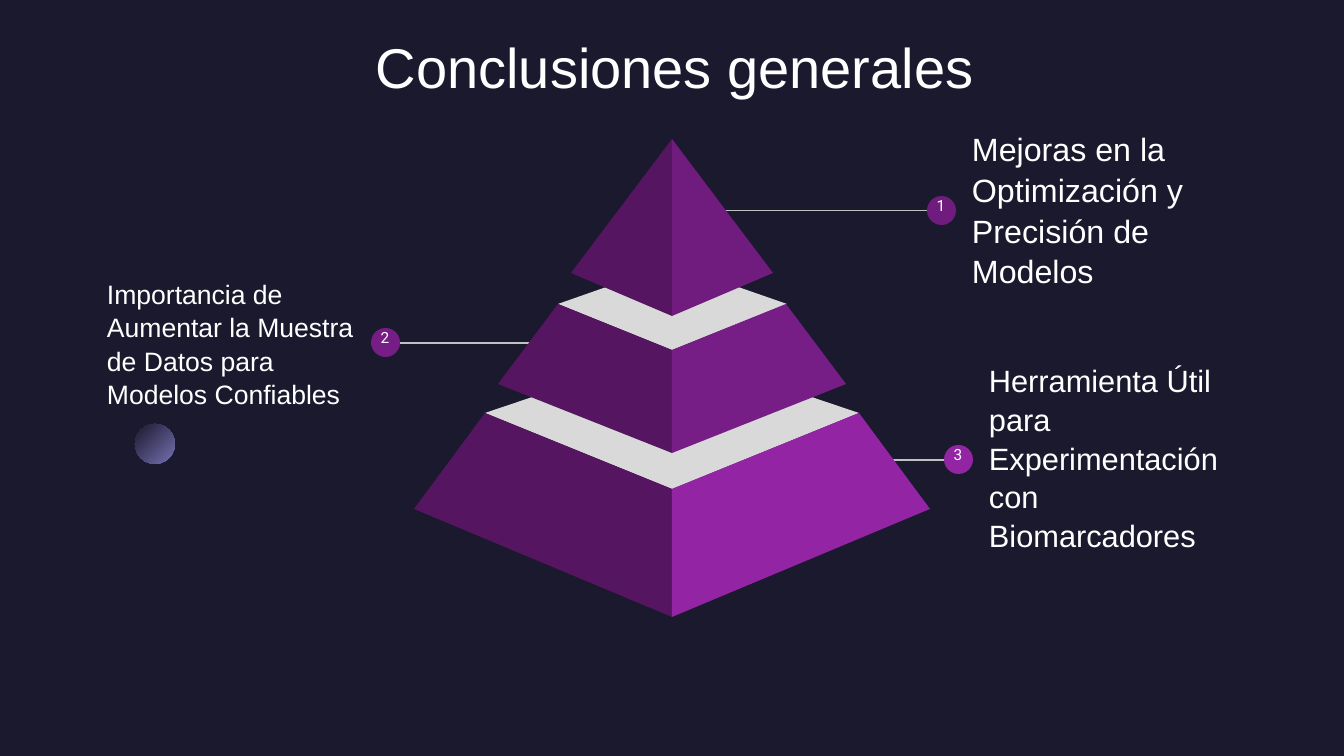
from dataclasses import dataclass
from typing import Optional

from lxml.etree import SubElement
from pptx import Presentation
from pptx.dml.color import RGBColor
from pptx.enum.shapes import MSO_CONNECTOR, MSO_SHAPE
from pptx.enum.text import MSO_ANCHOR, PP_ALIGN
from pptx.oxml.ns import qn
from pptx.util import Emu, Pt

EMU_PER_PX = 914400 / 100.8
SLIDE_WIDTH, SLIDE_HEIGHT = 1344, 756
LABEL_WIDTH, LABEL_HEIGHT = 274, 204
BADGE_SIZE = 29
COLOURS = {
    "background": "1B192E",
    "glow": "7771B2",
    "text": "FFFFFF",
    "line": "C2C2C2",
    "lid": "D9D9D9",
    "shade": "561561",
    "top": "701C7F",
    "middle": "771E86",
    "base": "9325A5",
}
Point = tuple[int, int]


@dataclass(frozen=True)
class Callout:
    number: str
    text: str
    size: int
    colour: str
    label: Point
    badge: Point
    line_start: int
    line_end: int


@dataclass(frozen=True)
class Tier:
    colour: str
    left_face: tuple[Point, ...]
    lid: Optional[tuple[Point, ...]] = None


CALLOUTS = (
    Callout("3", "Herramienta Útil para Experimentación con Biomarcadores",
            22, "base", (976, 355), (944, 445), 887, 973),
    Callout("2", "Importancia de Aumentar la Muestra de Datos para Modelos Confiables",
            19, "middle", (94, 241), (371, 328), 533, 380),
    Callout("1", "Mejoras en la Optimización y Precisión de Modelos",
            23, "top", (959, 107), (927, 196), 704, 956),
)
TIERS = (
    Tier("base", ((485, 413), (414, 509), (672, 617), (672, 489)),
         ((485, 413), (672, 489), (859, 413), (672, 350))),
    Tier("middle", ((558, 304), (498, 384), (672, 453), (672, 350)),
         ((558, 304), (672, 350), (787, 304), (672, 264))),
    Tier("top", ((672, 139), (571, 273), (672, 316))),
)


def px(length: int) -> Emu:
    return Emu(round(length * EMU_PER_PX))


def colour(name: str) -> RGBColor:
    return RGBColor.from_string(COLOURS[name])


def place(shape, left: int, top: int, width: int, height: int) -> None:
    shape.left, shape.top = px(left), px(top)
    shape.width, shape.height = px(width), px(height)


def write(shape, text: str, *, size: int, font: str = "Arial",
          align: PP_ALIGN = PP_ALIGN.LEFT, anchor: MSO_ANCHOR = MSO_ANCHOR.TOP,
          inset_x: int = 13, inset_y: int = 13, spacing: float = 1.0) -> None:
    frame = shape.text_frame
    frame.word_wrap = True
    frame.vertical_anchor = anchor
    frame.margin_left = frame.margin_right = px(inset_x)
    frame.margin_top = frame.margin_bottom = px(inset_y)
    paragraph = frame.paragraphs[0]
    paragraph.alignment = align
    paragraph.line_spacing = spacing
    run = paragraph.add_run()
    run.text = text
    run.font.size = Pt(size)
    run.font.name = font
    run.font.color.rgb = colour("text")


def paint(shape, fill: str) -> None:
    shape.shadow.inherit = False
    shape.fill.solid()
    shape.fill.fore_color.rgb = colour(fill)
    shape.line.fill.background()


def add_polygon(shapes, points: tuple[Point, ...], fill: str) -> None:
    builder = shapes.build_freeform(*points[0], scale=EMU_PER_PX)
    builder.add_line_segments(points[1:], close=True)
    paint(builder.convert_to_shape(), fill)


def add_line(shapes, start: int, end: int, height: int) -> None:
    connector = shapes.add_connector(
        MSO_CONNECTOR.STRAIGHT, px(start), px(height), px(end), px(height))
    connector.line.color.rgb = colour("line")
    connector.line.width = Pt(0.75)
    SubElement(connector._element.spPr, qn("a:effectLst"))


def add_text_box(shapes, left: int, top: int, width: int, height: int):
    return shapes.add_textbox(px(left), px(top), px(width), px(height))


def add_callout(slide, callout: Callout) -> None:
    shapes = slide.shapes.add_group_shape().shapes
    left, top = callout.badge
    add_line(shapes, callout.line_start, callout.line_end, top + 15)
    label = add_text_box(shapes, *callout.label, LABEL_WIDTH, LABEL_HEIGHT)
    write(label, callout.text, size=callout.size,
          anchor=MSO_ANCHOR.MIDDLE, spacing=1.05)
    badge = shapes.add_shape(
        MSO_SHAPE.OVAL, px(left), px(top), px(BADGE_SIZE), px(BADGE_SIZE))
    paint(badge, callout.colour)
    number = add_text_box(shapes, left - 4, top - 9, 36, 46)
    write(number, callout.number, size=11, font="Roboto", align=PP_ALIGN.CENTER)


def add_pyramid(slide) -> None:
    shapes = slide.shapes.add_group_shape().shapes
    for tier in TIERS:
        if tier.lid:
            add_polygon(shapes, tier.lid, "lid")
        right_face = tuple((SLIDE_WIDTH - x, y) for x, y in tier.left_face)
        add_polygon(shapes, tier.left_face, "shade")
        add_polygon(shapes, right_face, tier.colour)


def add_glowing_dot(slide) -> None:
    dot = slide.shapes.add_shape(MSO_SHAPE.OVAL, px(135), px(424), px(40), px(40))
    dot.shadow.inherit = False
    dot.line.fill.background()
    dot.fill.gradient()
    for stop, name, position in zip(
            dot.fill.gradient_stops, ("background", "glow"), (0, 1)):
        stop.color.rgb = colour(name)
        stop.position = position
    gradient = dot._element.spPr.find(qn("a:gradFill"))
    gradient.remove(gradient.find(qn("a:lin")))
    radial = SubElement(gradient, qn("a:path"), {"path": "circle"})
    SubElement(radial, qn("a:fillToRect"), {"r": "100000", "b": "100000"})


def main() -> None:
    presentation = Presentation()
    presentation.slide_width = px(SLIDE_WIDTH)
    presentation.slide_height = px(SLIDE_HEIGHT)
    slide = presentation.slides.add_slide(presentation.slide_layouts[5])
    slide.background.fill.solid()
    slide.background.fill.fore_color.rgb = colour("background")

    add_glowing_dot(slide)
    title = slide.shapes.title
    place(title, 16, 24, 1317, 126)
    write(title, "Conclusiones generales", size=40, align=PP_ALIGN.CENTER,
          inset_x=10, inset_y=5, spacing=1.05)
    for callout in CALLOUTS:
        add_callout(slide, callout)
    add_pyramid(slide)
    presentation.save("out.pptx")


if __name__ == "__main__":
    main()
